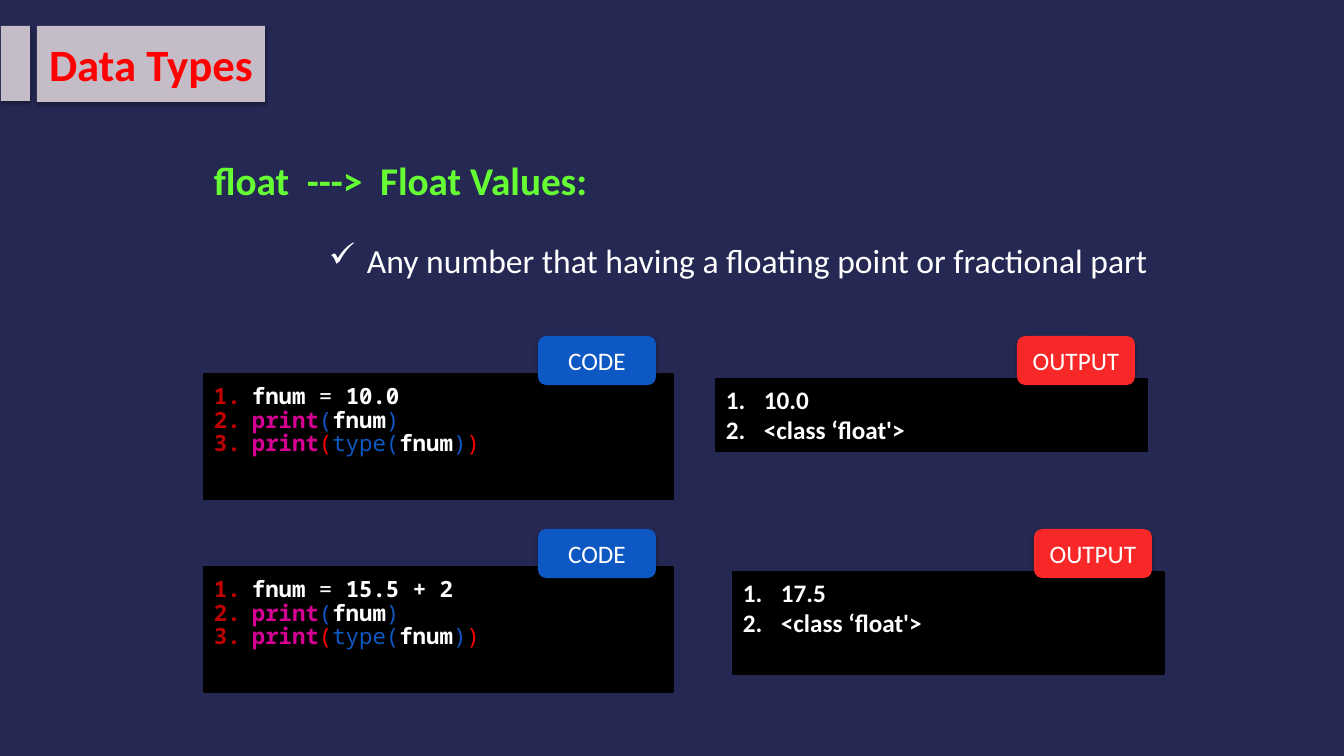
from pptx import Presentation, util as u
from pptx.dml.color import RGBColor
from pptx.enum import shapes, text
from pptx.oxml import parse_xml
from pptx.oxml.ns import nsdecls

PIXEL = 914400 / 100.8
COLORS = {"navy": "242852", "mauve": "C4BCC6", "red": "FF0000", "green": "66FF33",
          "white": "FFFFFF", "black": "000000", "blue": "0E58C4", "badge_red": "F82828",
          "number": "C00000", "pink": "D60093"}
RECT = shapes.MSO_SHAPE.RECTANGLE
ROUNDED = shapes.MSO_SHAPE.ROUNDED_RECTANGLE
CHECK = '<a:buChar {} char="✓"/>'
NUMBERED = '<a:buAutoNum {} type="arabicPeriod"/>'
SHADOW = ('<a:effectLst {}><a:outerShdw blurRad="39370" dist="22860" dir="5400000" rotWithShape="0">'
          '<a:srgbClr val="000000"><a:alpha val="35000"/></a:srgbClr></a:outerShdw></a:effectLst>')


def add_box(parent, box, kind=None, fill=None, line=None, shadow=False):
    """Add a preset shape, or a plain text box when kind is None."""
    left, top, width, height = [round(value * PIXEL) for value in box]
    if kind is None:
        return parent.add_textbox(left, top, width, height)
    shape = parent.add_shape(kind, left, top, width, height)
    shape.shadow.inherit = False
    shape.fill.solid()
    shape.fill.fore_color.rgb = RGBColor.from_string(COLORS[fill])
    if line:
        shape.line.color.rgb = RGBColor.from_string(COLORS[line])
        shape.line.width = u.Pt(2)
    else:
        shape.line.fill.background()
    if shadow:
        properties = shape._element.spPr
        properties.remove(properties.find("{*}effectLst"))
        properties.append(parse_xml(SHADOW.format(nsdecls("a"))))
    return shape


def write(shape, lines, size, font="Calibri", color="white", bold=False, centered=False,
          wrap=True, bullet=None, bullet_color="white", before=0, spacing=None):
    """Fill a shape; each line is a string or a list of (text, color, bold) runs."""
    frame = shape.text_frame
    frame.word_wrap = wrap
    frame.vertical_anchor = text.MSO_ANCHOR.MIDDLE if centered else text.MSO_ANCHOR.TOP
    for index, line in enumerate(lines):
        paragraph = frame.add_paragraph() if index else frame.paragraphs[0]
        paragraph.alignment = text.PP_ALIGN.CENTER if centered else text.PP_ALIGN.LEFT
        paragraph.space_before = u.Pt(before)
        if spacing:
            paragraph.line_spacing = spacing
        if bullet:
            properties = paragraph._p.get_or_add_pPr()
            indent = round(38 * PIXEL)
            properties.set("marL", str(indent))
            properties.set("indent", str(-indent))
            properties.append(parse_xml(f'<a:buClr {nsdecls("a")}><a:srgbClr '
                                        f'val="{COLORS[bullet_color]}"/></a:buClr>'))
            properties.append(parse_xml(bullet.format(nsdecls("a"))))
        runs = [(line, color, bold)] if isinstance(line, str) else line
        for words, run_color, run_bold in runs:
            run = paragraph.add_run()
            run.text = words
            run.font.name = font
            run.font.size = u.Pt(size)
            run.font.bold = run_bold
            run.font.color.rgb = RGBColor.from_string(COLORS[run_color])


presentation = Presentation()
presentation.slide_width = round(1344 * PIXEL)
presentation.slide_height = round(756 * PIXEL)
slide = presentation.slides.add_slide(presentation.slide_layouts[6])
slide.background.fill.solid()
slide.background.fill.fore_color.rgb = RGBColor.from_string(COLORS["navy"])

# Title tab
add_box(slide.shapes, (1, 26, 29, 75), RECT, "mauve", shadow=True)
title = add_box(slide.shapes, (37, 26, 228, 76), RECT, "mauve", shadow=True)
write(title, ["Data Types"], 32, color="red", bold=True, centered=True)

# Heading and definition
heading = add_box(slide.shapes, (204, 151, 401, 84))
write(heading, ["float  --->  Float Values:"], 28, color="green", bold=True, before=5.6)
definition = add_box(slide.shapes, (319, 235, 847, 50))
write(definition, ["Any number that having a floating point or fractional part"], 24,
      wrap=False, bullet=CHECK)

# Examples: code on the left, its output on the right
print_lines = [
    [("print", "pink", True), ("(", "blue", False), ("fnum", "white", True), (")", "blue", False)],
    [("print", "pink", True), ("(", "red", False), ("type(", "blue", False),
     ("fnum", "white", True), (")", "blue", False), (")", "red", False)],
]
examples = [("10.0", "10.0", 336, 716, 72), ("15.5 + 2", "17.5", 529, 733, 102)]
for value, result, top, output_left, output_height in examples:
    code = slide.shapes.add_group_shape().shapes
    add_box(code, (204, top + 38, 469, 125), RECT, "black", line="black")
    badge = add_box(code, (538, top, 118, 49), ROUNDED, "blue", shadow=True)
    write(badge, ["CODE"], 18, centered=True)
    assignment = [("fnum ", "white", True), ("= ", "white", False), (value, "white", True)]
    listing = add_box(code, (204, top + 44, 470, 119))
    write(listing, [assignment] + print_lines, 16, font="Noto Sans Mono",
          bullet=NUMBERED, bullet_color="number", spacing=0.89)

    output = slide.shapes.add_group_shape().shapes
    panel = add_box(output, (output_left, top + 43, 431, output_height), RECT, "black", line="black")
    write(panel, [result, "<class ‘float'>"], 18, bold=True, bullet=NUMBERED)
    badge = add_box(output, (output_left + 301, top, 118, 49), ROUNDED, "badge_red", shadow=True)
    write(badge, ["OUTPUT"], 18, centered=True)

presentation.save("out.pptx")
